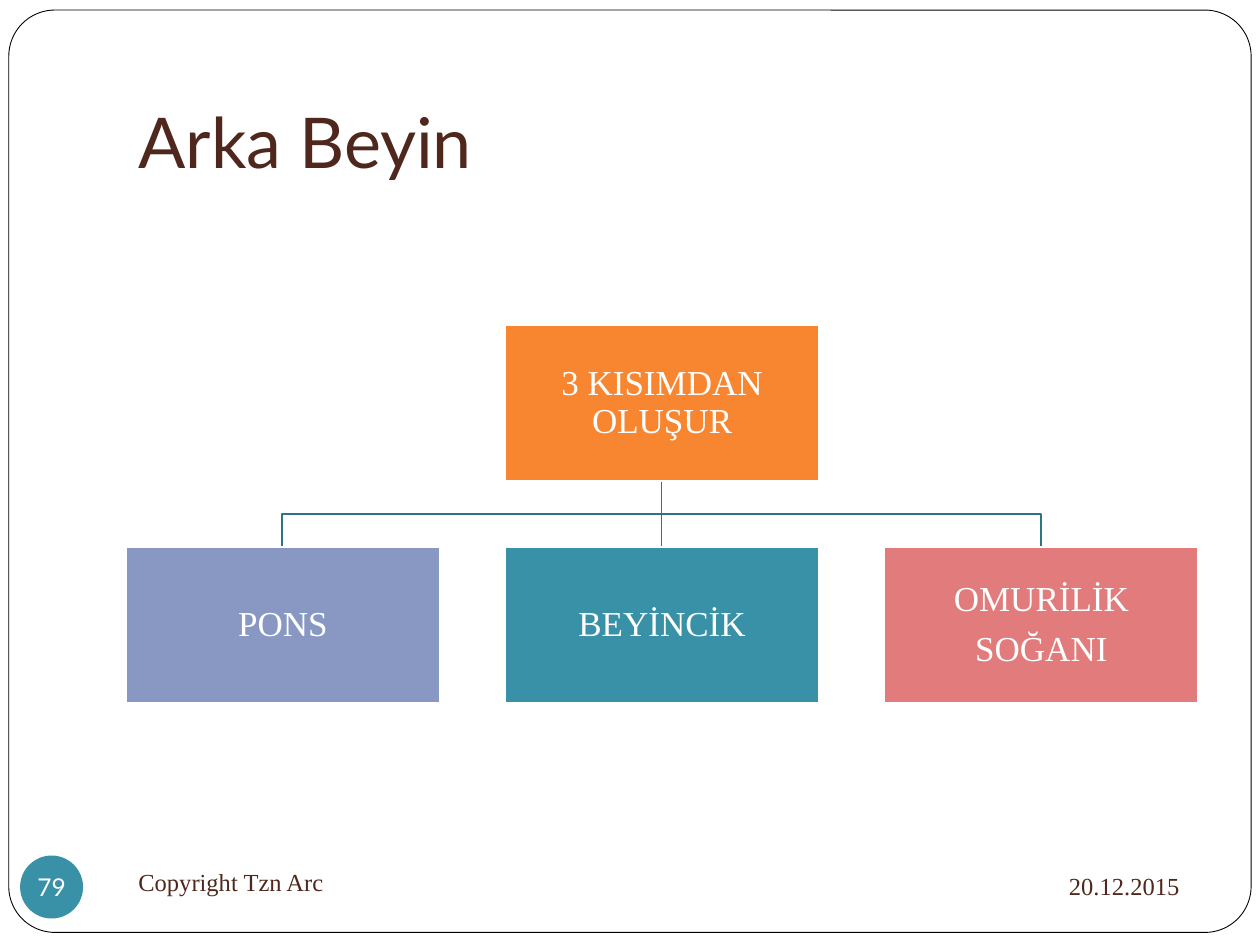
import dataclasses

import pptx
import pptx.dml.color
import pptx.enum.shapes
import pptx.enum.text
import pptx.util

Kind = pptx.enum.shapes.MSO_SHAPE
Align = pptx.enum.text.PP_ALIGN
Anchor = pptx.enum.text.MSO_ANCHOR
SCALE = 9144


def px(size):
    return pptx.util.Emu(size * SCALE)


def tint(code):
    return pptx.dml.color.RGBColor.from_string(code)


@dataclasses.dataclass(frozen=True)
class Theme:
    white: str = "FFFFFF"
    black: str = "000000"
    brown: str = "4F271C"
    orange: str = "F88631"
    blue: str = "8898C3"
    teal: str = "3891A7"
    rose: str = "E17B7C"
    link: str = "2D7486"
    sans: str = "Lato"
    serif: str = "Times New Roman"
    head: int = 40
    body: int = 20
    small: int = 14


class Deck:
    def __init__(self, theme):
        self.theme = theme
        self.file = pptx.Presentation()
        self.file.slide_width, self.file.slide_height = px(1000), px(750)
        self.slide = self.file.slides.add_slide(self.file.slide_layouts[5])
        self.shapes = self.slide.shapes

    def label(self, shape, lines, size, font, color, align=Align.LEFT,
              anchor=Anchor.MIDDLE, pad=(10, 5, 10, 5), wrap=True):
        frame = shape.text_frame
        frame.auto_size = pptx.enum.text.MSO_AUTO_SIZE.NONE
        frame.word_wrap = wrap
        frame.vertical_anchor = anchor
        (frame.margin_left, frame.margin_top,
         frame.margin_right, frame.margin_bottom) = map(px, pad)
        frame.text = "\n".join(lines)
        for para in frame.paragraphs:
            para.alignment = align
            para.font.size = pptx.util.Pt(size)
            para.font.name = font
            para.font.color.rgb = tint(color)
        return frame

    def title(self, text, *box):
        shape = self.shapes.title
        shape.left, shape.top, shape.width, shape.height = map(px, box)
        self.label(shape, [text], self.theme.head, self.theme.sans,
                   self.theme.brown, anchor=Anchor.BOTTOM, pad=(10, 5, 10, 10))

    def shape(self, kind, box, fill, line=None, width=1):
        shape = self.shapes.add_shape(kind, *map(px, box))
        shape.shadow.inherit = False
        shape.fill.solid()
        shape.fill.fore_color.rgb = tint(fill)
        if line:
            shape.line.color.rgb = tint(line)
            shape.line.width = pptx.util.Pt(width)
        else:
            shape.line.fill.background()
        return shape

    def frame(self, *box):
        shape = self.shape(Kind.ROUNDED_RECTANGLE, box, self.theme.white,
                           self.theme.black, 0.5)
        shape.adjustments[0] = 0.05
        self.shapes.title.element.addprevious(shape.element)

    def link(self, *points):
        first, *rest = [(px(x), px(y)) for x, y in points]
        trace = self.shapes.build_freeform(*first)
        trace.add_line_segments(rest, close=False)
        shape = trace.convert_to_shape()
        shape.shadow.inherit = False
        shape.fill.background()
        shape.line.color.rgb = tint(self.theme.link)
        shape.line.width = pptx.util.Pt(1)

    def node(self, lines, box, fill):
        shape = self.shape(Kind.RECTANGLE, box, fill, self.theme.white)
        frame = self.label(shape, lines, self.theme.body, self.theme.serif,
                           self.theme.white, Align.CENTER, pad=(1, 1, 1, 1))
        for para in frame.paragraphs:
            para.line_spacing = 0.9
            para.space_after = pptx.util.Pt(7)

    def badge(self, text, *box):
        shape = self.shape(Kind.OVAL, box, self.theme.teal)
        self.label(shape, [text], self.theme.small, self.theme.sans,
                   self.theme.white, Align.CENTER, pad=(0, 0, 0, 0), wrap=False)

    def note(self, text, box, align=Align.LEFT):
        shape = self.shapes.add_textbox(*map(px, box))
        self.label(shape, [text], self.theme.small, self.theme.serif,
                   self.theme.brown, align)


def main():
    theme = Theme()
    deck = Deck(theme)
    deck.frame(7, 8, 986, 732)
    deck.title("Arka Beyin", 100, 30, 850, 125)

    left, step, wide, high = 100, 301, 249, 124
    root, row = 258, 434
    base = root + high
    bend = (base + row) // 2
    parts = [(["PONS"], theme.blue),
             (["BEYİNCİK"], theme.teal),
             (["OMURİLİK", "SOĞANI"], theme.rose)]
    spots = [left + step * i for i in range(len(parts))]
    hub = spots[1] + wide // 2

    for spot in reversed(spots):
        mid = spot + wide // 2
        turns = [(hub, bend), (mid, bend)] if mid != hub else []
        deck.link((hub, base), *turns, (mid, row))
    deck.node(["3 KISIMDAN OLUŞUR"], (spots[1], root, wide, high), theme.orange)
    for spot, (lines, fill) in zip(spots, parts):
        deck.node(lines, (spot, row, wide, high), fill)

    deck.note("20.12.2015", (675, 677, 271, 52), Align.RIGHT)
    deck.badge("79", 16, 679, 50, 50)
    deck.note("Copyright Tzn Arc", (100, 675, 433, 50))
    deck.file.save("out.pptx")


if __name__ == "__main__":
    main()
